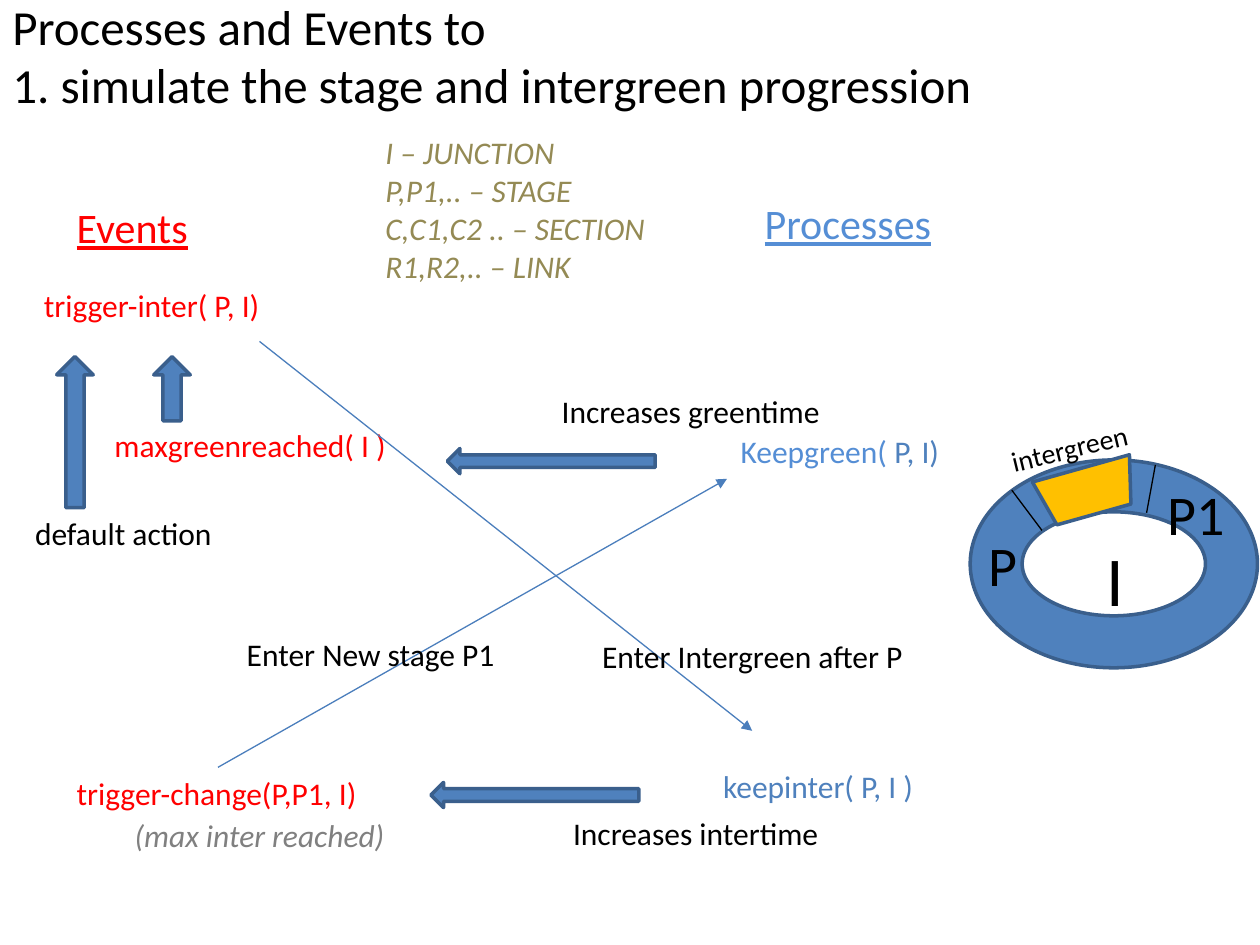
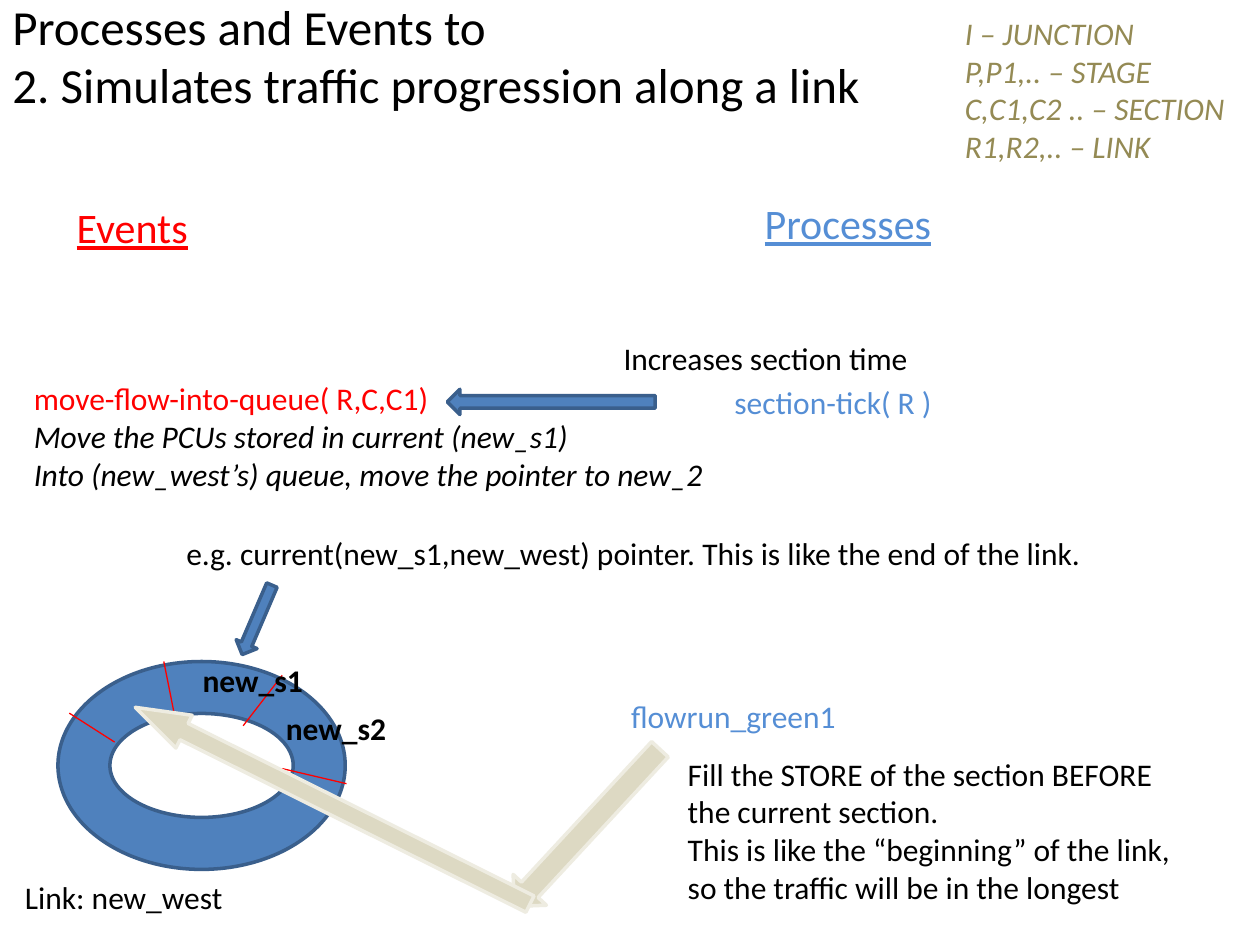
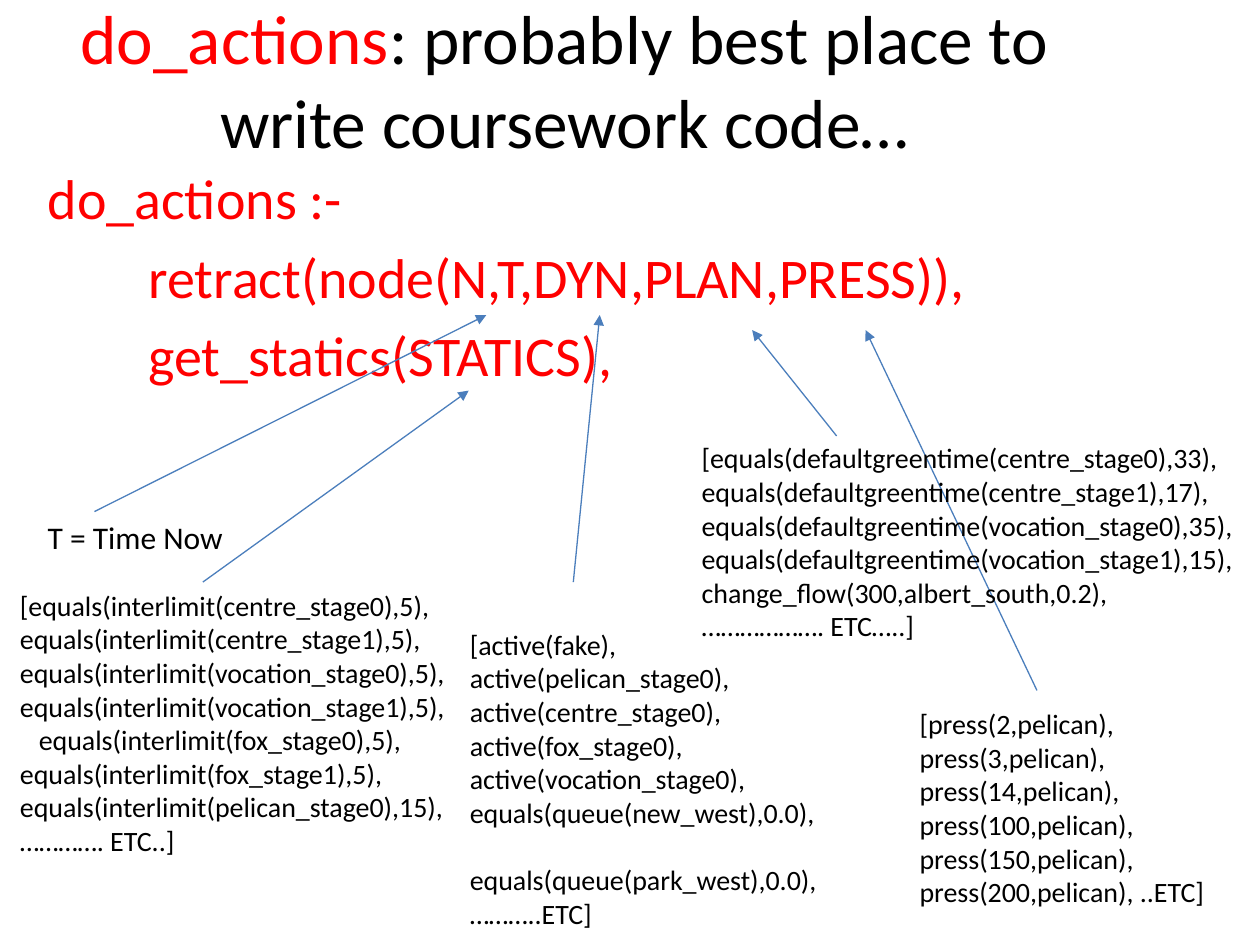
from dataclasses import dataclass

from lxml import etree
from pptx import Presentation
from pptx.dml.color import RGBColor
from pptx.enum.shapes import MSO_CONNECTOR, MSO_SHAPE
from pptx.enum.text import MSO_ANCHOR, MSO_AUTO_SIZE, PP_ALIGN
from pptx.oxml.ns import qn
from pptx.util import Inches, Pt


@dataclass(frozen=True)
class Theme:
    font: str = "Calibri"
    black: str = "000000"
    event: str = "FF0000"
    process: str = "558ED5"
    blue: str = "4F81BD"
    outline: str = "3A5F8C"
    link: str = "4B7EBC"
    legend: str = "948A54"
    gray: str = "808080"
    amber: str = "FFC000"
    sand: str = "DDD9C3"
    sand_edge: str = "EEECE1"
    title: float = 39.6
    code: float = 32
    symbol: float = 40
    heading: float = 28
    column: float = 24
    label: float = 18
    listing: float = 16
    shape_line: float = 2
    thin_line: float = 0.75


THEME = Theme()


@dataclass
class Line:
    """One paragraph; each span is a pair of text and format overrides."""
    spans: list
    indent: float = 0
    before: float = 0


def plain(text, indent=0, before=0, **style):
    return Line([(text, style)], indent, before)


def format_span(span, size=THEME.label, color=THEME.black, bold=False,
                italic=False, underline=False):
    font = span.font
    font.name = THEME.font
    font.size = Pt(size)
    font.color.rgb = RGBColor.from_string(color)
    font.bold, font.italic, font.underline = bold, italic, underline


def write_text(slide, place, *lines, wrap=False, grow=True, align=PP_ALIGN.LEFT,
               anchor=MSO_ANCHOR.TOP, rotation=0, **style):
    """Add a text box at (left, top, width, height) with a paragraph per line."""
    box = slide.shapes.add_textbox(*map(Inches, place))
    box.rotation = rotation
    frame = box.text_frame
    frame.word_wrap = wrap
    frame.auto_size = MSO_AUTO_SIZE.SHAPE_TO_FIT_TEXT if grow else MSO_AUTO_SIZE.NONE
    frame.vertical_anchor = anchor
    for number, line in enumerate(lines):
        line = plain(line) if isinstance(line, str) else line
        para = frame.add_paragraph() if number else frame.paragraphs[0]
        para.alignment = align
        if line.before:
            para.space_before = Pt(line.before)
        if line.indent:
            para._p.get_or_add_pPr().set("marL", str(Inches(line.indent)))
        for text, overrides in line.spans:
            span = para.add_run()
            span.text = text
            format_span(span, **{**style, **overrides})


def draw_shape(slide, kind, place, fill=THEME.blue, edge=THEME.outline,
               rotation=0, adjustments=()):
    shape = slide.shapes.add_shape(kind, *map(Inches, place))
    shape.shadow.inherit = False
    shape.rotation = rotation
    shape.fill.solid()
    shape.fill.fore_color.rgb = RGBColor.from_string(fill)
    shape.line.color.rgb = RGBColor.from_string(edge)
    shape.line.width = Pt(THEME.shape_line)
    for number, value in enumerate(adjustments):
        shape.adjustments[number] = value


def draw_line(slide, start, end, color=THEME.link, arrow=False):
    line = slide.shapes.add_connector(MSO_CONNECTOR.STRAIGHT,
                                      *map(Inches, (*start, *end)))
    line.line.color.rgb = RGBColor.from_string(color)
    line.line.width = Pt(THEME.thin_line)
    if arrow:
        etree.SubElement(line.line._get_or_add_ln(), qn("a:tailEnd"), type="triangle")
    etree.SubElement(line._element.spPr, qn("a:effectLst"))


def draw_cause(slide, left, top):
    """Draw the block arrow that leads from a process to its event."""
    draw_shape(slide, MSO_SHAPE.LEFT_ARROW, (left, top, 1.65, 0.2))


def draw_ring(slide, left, top):
    draw_shape(slide, MSO_SHAPE.DONUT, (left, top, 2.28, 1.65))


def write_frame(slide, subtitle, title_width, legend_left, legend_top):
    """Write the heading, the legend and the two column titles."""
    write_text(slide, (0, -0.08, title_width, 1.04), "Processes and Events to",
               subtitle, size=THEME.heading)
    write_text(slide, (legend_left, legend_top, 2.44, 1.62), "I – JUNCTION",
               "P,P1,.. – STAGE", "C,C1,C2 .. – SECTION", "R1,R2,.. – LINK",
               wrap=True, color=THEME.legend, italic=True)
    for text, left, top, color in (("Events", 0.51, 1.55, THEME.event),
                                   ("Processes", 5.97, 1.52, THEME.process)):
        write_text(slide, (left, top, 2.36, 0.5), text, wrap=True,
                   size=THEME.column, color=color, underline=True)


def write_labels(slide, labels, **style):
    for text, left, top, width in labels:
        write_text(slide, (left, top, width, 0.4), text, **style)


def build_stage_slide(slide):
    write_frame(slide, "1. simulate the stage and intergreen progression", 7.9, 2.96, 1.01)
    write_labels(slide, [("maxgreenreached( I )", 0.81, 3.33, 2.38),
                         ("trigger-inter( P, I)", 0.25, 2.22, 1.93),
                         ("trigger-change(P,P1, I)", 0.51, 6.09, 2.45)],
                 color=THEME.event)
    write_text(slide, (5.78, 3.38, 2.96, 0.4),
               Line([("Keepgreen( ", {"color": THEME.process}), ("P, I)", {})]),
               wrap=True, color=THEME.blue)
    write_labels(slide, [("keepinter( P, I )", 5.64, 6.04, 1.79)], color=THEME.blue)
    write_labels(slide, [("(max inter reached)", 0.97, 6.43, 2.22)],
                 color=THEME.gray, italic=True)
    draw_cause(slide, 3.55, 3.56)
    draw_cause(slide, 3.42, 6.21)
    for left, height in ((1.22, 0.51), (0.45, 1.2)):
        draw_shape(slide, MSO_SHAPE.UP_ARROW, (left, 2.83, 0.29, height))
    draw_line(slide, (2.06, 2.71), (5.97, 5.8), arrow=True)
    draw_line(slide, (1.73, 6.09), (5.77, 3.8), arrow=True)
    write_labels(slide, [("Increases intertime", 4.45, 6.41, 2.17),
                         ("Increases greentime", 4.36, 3.06, 2.27),
                         ("default action", 0.18, 4.03, 1.62),
                         ("Enter New stage P1", 1.86, 4.99, 2.19),
                         ("Enter Intergreen after P", 4.68, 5.01, 2.62)])

    draw_ring(slide, 7.7, 3.65)
    write_text(slide, (8.68, 4.21, 0.51, 0.77), "I", wrap=True, size=THEME.symbol)
    for stage, left, top, width in (("P", 7.75, 4.16, 0.51), ("P1", 9.17, 3.76, 0.83)):
        write_text(slide, (left, top, width, 0.64), stage, wrap=True, size=THEME.code)
    draw_line(slide, (8.03, 3.89), (8.27, 4.21), THEME.black)
    draw_line(slide, (9.17, 3.69), (9.1, 4.07), THEME.black)
    draw_shape(slide, MSO_SHAPE.TRAPEZOID, (8.23, 3.71, 0.8, 0.38),
               fill=THEME.amber, rotation=164.3)
    write_text(slide, (7.92, 3.37, 1.15, 0.37), "intergreen",
               size=THEME.listing, rotation=346.4)


def build_link_slide(slide):
    draw_cause(slide, 3.55, 3.09)
    draw_ring(slide, 0.46, 5.25)
    for start, end in (((1.38, 5.65), (1.3, 5.25)), ((0.91, 5.89), (0.55, 5.66)),
                       ((2.24, 6.1), (2.75, 6.22)), ((1.93, 5.76), (2.24, 5.36))):
        draw_line(slide, start, end, THEME.event)
    write_labels(slide, [("new_s1", 1.51, 5.2, 1), ("new_s2", 2.17, 5.58, 1)], bold=True)
    write_labels(slide, [("section-tick( R )", 5.73, 2.99, 1.79),
                         ("flowrun_green1", 4.91, 5.48, 1.85)], color=THEME.process)
    write_text(slide, (0.17, 2.96, 5.57, 1.01),
               plain("move-flow-into-queue( R,C,C1)", color=THEME.event, italic=False),
               "Move the PCUs stored in current (new_s1)",
               "Into (new_west’s) queue, move the pointer to new_2", italic=True)
    write_frame(slide, "2. Simulates traffic progression along a link", 7.01, 7.56, 0.06)
    draw_shape(slide, MSO_SHAPE.DOWN_ARROW, (1.95, 4.62, 0.18, 0.6), rotation=23.2)
    write_labels(slide, [
        ("Increases section time", 4.85, 2.64, 2.48),
        ("e.g. current(new_s1,new_west) pointer. This is like the end of the link.",
         1.38, 4.19, 7.38)])
    write_labels(slide, [("Link: new_west", 0.1, 6.92, 1.94)], wrap=True)
    sand = {"fill": THEME.sand, "edge": THEME.sand_edge}
    draw_shape(slide, MSO_SHAPE.UP_ARROW, (4.48, 5.72, 0.36, 1.7), rotation=222.8, **sand)
    draw_shape(slide, MSO_SHAPE.LEFT_ARROW, (0.89, 6.25, 3.5, 0.29), rotation=26.5,
               adjustments=(0.5, 1.49), **sand)
    write_text(slide, (5.36, 5.94, 4.36, 1.31), "Fill the STORE of the section BEFORE",
               "the current section.", "This is like the “beginning” of the link,",
               "so the traffic will be in the longest", wrap=True)


def build_code_slide(slide):
    write_text(slide, (-0.02, 0, 9, 1.25),
               Line([("do_actions", {"color": THEME.event}),
                     (": probably best place to write coursework code…", {})]),
               wrap=True, grow=False, align=PP_ALIGN.CENTER,
               anchor=MSO_ANCHOR.MIDDLE, size=THEME.title)
    gap = 0.2 * THEME.code
    write_text(slide, (0.28, 1.25, 9.72, 6.25),
               plain("do_actions :-", before=gap),
               plain("retract(node(N,T,DYN,PLAN,PRESS)),", indent=0.8, before=gap),
               plain("get_statics(STATICS),", indent=0.8, before=gap),
               wrap=True, grow=False, size=THEME.code, color=THEME.event)
    for start, end in (((0.75, 4.06), (3.86, 2.5)), ((1.61, 4.62), (3.72, 3.1)),
                       ((6.64, 3.46), (5.97, 2.62)), ((8.23, 5.48), (6.87, 2.62)),
                       ((4.55, 4.62), (4.76, 2.5))):
        draw_line(slide, start, end, arrow=True)
    write_labels(slide, [("T = Time Now", 0.28, 4.06, 1.61)])

    statics = ["[equals(interlimit(centre_stage0),5),",
               "equals(interlimit(centre_stage1),5),",
               "equals(interlimit(vocation_stage0),5),",
               "equals(interlimit(vocation_stage1),5),",
               plain("equals(interlimit(fox_stage0),5),", indent=0.15),
               "equals(interlimit(fox_stage1),5),",
               "equals(interlimit(pelican_stage0),15),", "…………. ETC..]"]
    dynamics = ["[active(fake),", "active(pelican_stage0),", "active(centre_stage0),",
                "active(fox_stage0),", "active(vocation_stage0),",
                "equals(queue(new_west),0.0),",
                plain("equals(queue(park_west),0.0),", before=19.5), "………..ETC]"]
    plan = ["[equals(defaultgreentime(centre_stage0),33),",
            "equals(defaultgreentime(centre_stage1),17),",
            "equals(defaultgreentime(vocation_stage0),35),",
            "equals(defaultgreentime(vocation_stage1),15),",
            "change_flow(300,albert_south,0.2),", "………………. ETC…..]"]
    presses = ["[press(2,pelican),", "press(3,pelican),", "press(14,pelican),",
               "press(100,pelican),", "press(150,pelican),", "press(200,pelican), ..ETC]"]
    for lines, place in ((statics, (0.06, 4.62, 3.67, 2.26)),
                         (dynamics, (3.63, 4.93, 3.01, 2.26)),
                         (plan, (5.47, 3.45, 5, 1.72)),
                         (presses, (7.2, 5.56, 2.67, 1.72))):
        write_text(slide, place, *lines, wrap=True, size=THEME.listing)


def main():
    deck = Presentation()
    deck.slide_width, deck.slide_height = Inches(10), Inches(7.5)
    blank = deck.slide_layouts[6]
    for build in (build_stage_slide, build_link_slide, build_code_slide):
        build(deck.slides.add_slide(blank))
    deck.save("out.pptx")


if __name__ == "__main__":
    main()
